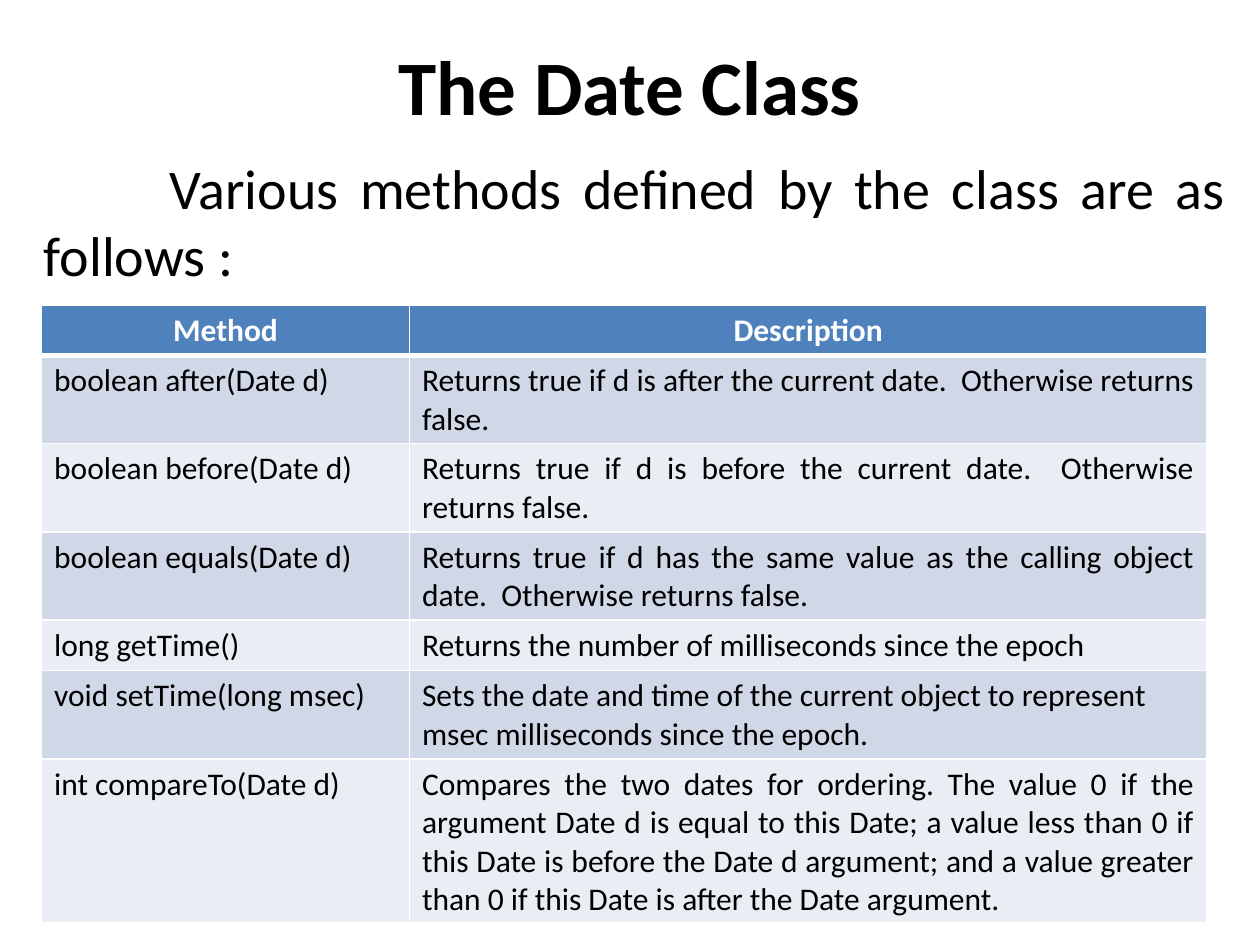
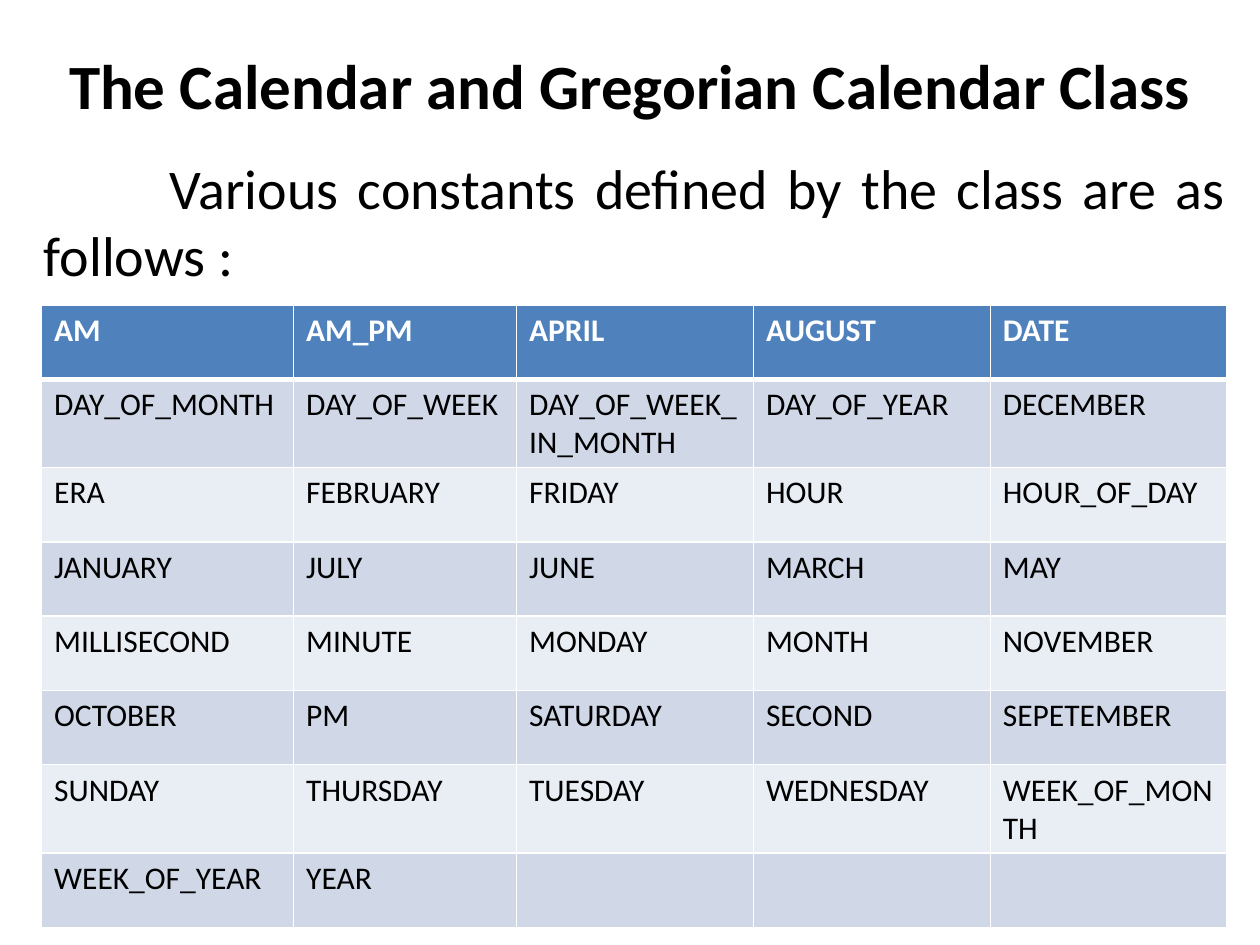
import pptx
import pptx.dml.color
import pptx.enum.text
import pptx.oxml
import pptx.oxml.ns
import pptx.util
from pptx.util import Inches

ALIGN = pptx.enum.text.PP_ALIGN
LEFT, CENTER, JUSTIFY = ALIGN.LEFT, ALIGN.CENTER, ALIGN.JUSTIFY

BLACK, WHITE = "000000", "FFFFFF"
HEADER_FILL = "4F81BD"
BAND_FILLS = ("D0D8E8", "E9EDF4")
FONT = "Calibri"
INTRO = "Various {} defined by the class are as follows :"

METHODS = [
    ("Method", "Description"),
    ("boolean after(Date d)",
     "Returns true if d is after the current date.  Otherwise returns false."),
    ("boolean before(Date d)",
     "Returns true if d is before the current date.  Otherwise returns false."),
    ("boolean equals(Date d)",
     "Returns true if d has the same value as the calling object date.  "
     "Otherwise returns false."),
    ("long getTime()", "Returns the number of milliseconds since the epoch"),
    ("void setTime(long msec)",
     "Sets the date and time of the current object to represent msec "
     "milliseconds since the epoch."),
    ("int compareTo(Date d)",
     "Compares the two dates for ordering. The value 0 if the argument Date d "
     "is equal to this Date; a value less than 0 if this Date is before the "
     "Date d argument; and a value greater than 0 if this Date is after the "
     "Date argument."),
]
METHOD_ALIGNS = [
    (CENTER, CENTER),
    (JUSTIFY, JUSTIFY),
    (JUSTIFY, JUSTIFY),
    (JUSTIFY, JUSTIFY),
    (LEFT, LEFT),
    (LEFT, LEFT),
    (LEFT, JUSTIFY),
]

CONSTANTS = [
    ("AM", "AM_PM", "APRIL", "AUGUST", "DATE"),
    ("DAY_OF_MONTH", "DAY_OF_WEEK", "DAY_OF_WEEK_IN_MONTH", "DAY_OF_YEAR", "DECEMBER"),
    ("ERA", "FEBRUARY", "FRIDAY", "HOUR", "HOUR_OF_DAY"),
    ("JANUARY", "JULY", "JUNE", "MARCH", "MAY"),
    ("MILLISECOND", "MINUTE", "MONDAY", "MONTH", "NOVEMBER"),
    ("OCTOBER", "PM", "SATURDAY", "SECOND", "SEPETEMBER"),
    ("SUNDAY", "THURSDAY", "TUESDAY", "WEDNESDAY", "WEEK_OF_MONTH"),
    ("WEEK_OF_YEAR", "YEAR", "", "", ""),
]
CONSTANT_ALIGNS = [(LEFT,) * 5] * len(CONSTANTS)

SLIDES = [
    {"title": "The Date Class", "title_size": 44, "members": "methods",
     "rows": METHODS, "aligns": METHOD_ALIGNS,
     "widths": (2.92, 6.33), "row_height": 0.4},
    {"title": "The Calendar and Gregorian Calendar Class", "title_size": 36,
     "members": "constants", "rows": CONSTANTS, "aligns": CONSTANT_ALIGNS,
     "widths": (2, 1.77, 1.88, 1.88, 1.88), "row_height": 0.59},
]


def rgb(color):
    return pptx.dml.color.RGBColor.from_string(color)


def write(frame, text, size, align, color=BLACK, bold=False):
    frame.text = text
    paragraph = frame.paragraphs[0]
    paragraph.alignment = align
    font_values = {"name": FONT, "size": pptx.util.Pt(size), "bold": bold}
    for font in [paragraph.font] + [run.font for run in paragraph.runs]:
        for name, value in font_values.items():
            setattr(font, name, value)
        font.color.rgb = rgb(color)
    return paragraph


def place(shape, left, top, width, height):
    box = {"left": left, "top": top, "width": width, "height": height}
    for name, value in box.items():
        setattr(shape, name, Inches(value))


def add_borders(cell, row):
    """White 1 pt lines, with a 3 pt line between the header and the body."""
    points = {"lnL": 1, "lnR": 1, "lnT": 3 if row == 1 else 1, "lnB": 3 if row == 0 else 1}
    namespace = pptx.oxml.ns.nsdecls("a")
    for side, width in points.items():
        cell._tc.get_or_add_tcPr().append(pptx.oxml.parse_xml(
            f'<a:{side} {namespace} w="{pptx.util.Pt(width)}"><a:solidFill>'
            f'<a:srgbClr val="{WHITE}"/></a:solidFill></a:{side}>'))


def add_title(slide, text, size):
    title = slide.shapes.title
    place(title, 0, 0.17, 10, 1)
    title.text_frame.auto_size = pptx.enum.text.MSO_AUTO_SIZE.NONE
    title.text_frame.vertical_anchor = pptx.enum.text.MSO_ANCHOR.MIDDLE
    write(title.text_frame, text, size, CENTER, bold=True)


def add_intro(slide, members):
    intro = slide.shapes.add_textbox(*map(Inches, (0.25, 1.17, 9.58, 1.18)))
    intro.text_frame.word_wrap = True
    paragraph = write(intro.text_frame, INTRO.format(members), 32, JUSTIFY)
    paragraph._p.get_or_add_pPr().set("indent", str(Inches(1)))


def add_grid(slide, rows, aligns, widths, row_height):
    box = (0.33, 2.42, sum(widths), row_height * len(rows))
    grid = slide.shapes.add_table(len(rows), len(widths), *map(Inches, box)).table
    for column, width in zip(grid.columns, widths):
        column.width = Inches(width)
    for r, (texts, row_aligns) in enumerate(zip(rows, aligns)):
        grid.rows[r].height = Inches(row_height)
        header = r == 0
        fill = HEADER_FILL if header else BAND_FILLS[(r - 1) % 2]
        for c, (text, align) in enumerate(zip(texts, row_aligns)):
            cell = grid.cell(r, c)
            write(cell.text_frame, text, 18, align, WHITE if header else BLACK, header)
            add_borders(cell, r)
            cell.fill.solid()
            cell.fill.fore_color.rgb = rgb(fill)


def main():
    deck = pptx.Presentation()
    deck.slide_width, deck.slide_height = Inches(10), Inches(7.5)
    title_only = deck.slide_layouts.get_by_name("Title Only")
    for content in SLIDES:
        slide = deck.slides.add_slide(title_only)
        add_title(slide, content["title"], content["title_size"])
        add_intro(slide, content["members"])
        add_grid(slide, content["rows"], content["aligns"],
                 content["widths"], content["row_height"])
    deck.save("out.pptx")


if __name__ == "__main__":
    main()
